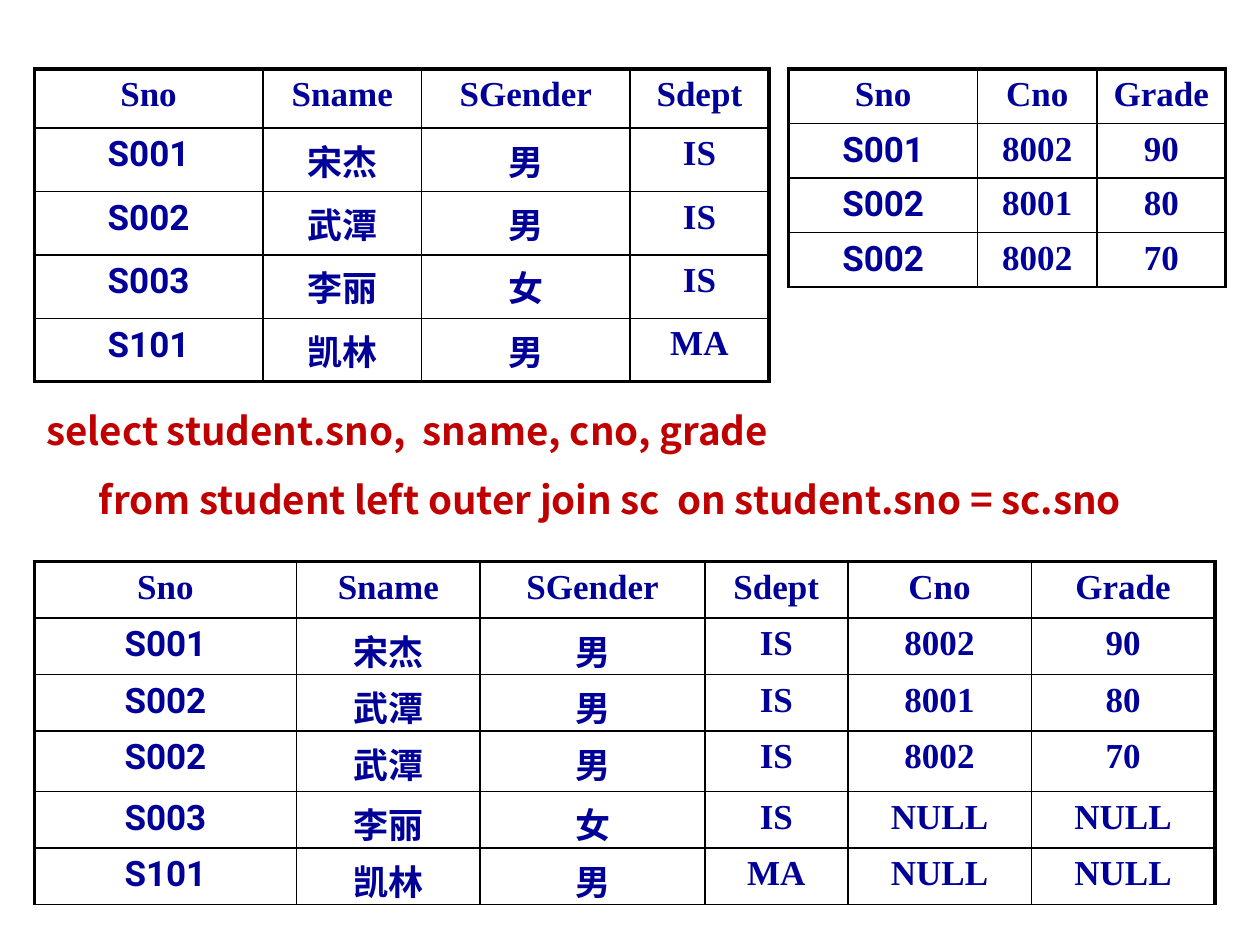
from lxml import etree
from pptx import Presentation
from pptx import util as u
from pptx.dml.color import RGBColor
from pptx.enum import text
from pptx.oxml.ns import qn

COLORS = {"ink": "000099", "query": "C00000", "border": "000000", "paper": "FFFFFF"}
LATIN, ID_FONT, CJK = "Times New Roman", "Roboto", "Noto Sans CJK SC"
THIN, THICK = 1, 2.25


class SlideBuilder:
    """Holds the text style and the current slide."""

    def __init__(self, s):
        self.s = s

    def add_run(self, p, content, size, font, color):
        r = p.add_run()
        r.text = content
        r.font.size = u.Pt(size)
        r.font.bold = True
        r.font.name = font
        r.font.color.rgb = RGBColor.from_string(COLORS[color])
        ea = etree.SubElement(r.font._element, qn("a:ea"))
        ea.set("typeface", CJK)

    def border(self, cell, **widths):
        tc_pr = cell._tc.get_or_add_tcPr()
        for side, width in widths.items():
            ln = etree.SubElement(tc_pr, qn(f"a:ln{side}"), w=str(u.Pt(width)))
            fill = etree.SubElement(ln, qn("a:solidFill"))
            etree.SubElement(fill, qn("a:srgbClr"), val=COLORS["border"])

    def table(self, left, top, cols, heights, rows, thick_bottom=False):
        last_row, last_col = len(rows) - 1, len(cols) - 1
        frame = self.s.shapes.add_table(
            len(rows), len(cols), u.Cm(left), u.Cm(top),
            u.Cm(sum(cols)), u.Cm(sum(heights)))
        tbl = frame.table
        tbl.first_row = tbl.horz_banding = False
        for col, width in zip(tbl.columns, cols):
            col.width = u.Cm(width)
        for row, height in zip(tbl.rows, heights):
            row.height = u.Cm(height)
        for i, values in enumerate(rows):
            for j, value in enumerate(values):
                cell = tbl.cell(i, j)
                # Heavy outer frame, thin inner lines
                self.border(
                    cell,
                    L=THICK if j == 0 else THIN,
                    R=THICK if j == last_col else THIN,
                    T=THICK if i == 0 else THIN,
                    B=THICK if thick_bottom and i == last_row else THIN)
                cell.fill.solid()
                cell.fill.fore_color.rgb = RGBColor.from_string(COLORS["paper"])
                p = cell.text_frame.paragraphs[0]
                p.alignment = text.PP_ALIGN.CENTER
                font = ID_FONT if i and j == 0 else LATIN
                self.add_run(p, value, 20, font, "ink")

    def query(self, left, top, width, height, lines):
        sp = self.s.shapes.add_textbox(u.Cm(left), u.Cm(top), u.Cm(width), u.Cm(height))
        tf = sp.text_frame
        tf.word_wrap = True
        tf.auto_size = text.MSO_AUTO_SIZE.SHAPE_TO_FIT_TEXT
        for i, line in enumerate(lines):
            p = tf.add_paragraph() if i else tf.paragraphs[0]
            p.line_spacing = 1.5
            self.add_run(p, line, 22, CJK, "query")


def main():
    prs = Presentation()
    prs.slide_width, prs.slide_height = u.Cm(25.4), u.Cm(19.05)
    builder = SlideBuilder(prs.slides.add_slide(prs.slide_layouts[6]))

    student_head = ["Sno", "Sname", "SGender", "Sdept"]
    students = [
        ["S001", "宋杰", "男", "IS"],
        ["S002", "武潭", "男", "IS"],
        ["S003", "李丽", "女", "IS"],
        ["S101", "凯林", "男", "MA"],
    ]
    course_head = ["Sno", "Cno", "Grade"]
    courses = [["S001", "8002", "90"], ["S002", "8001", "80"], ["S002", "8002", "70"]]

    # Left outer join of the two tables
    joined = []
    for student in students:
        matches = [c[1:] for c in courses if c[0] == student[0]]
        joined += [student + m for m in matches or [["NULL", "NULL"]]]

    # Source tables
    builder.table(0.69, 1.39, [4.61, 3.2, 4.2, 2.8], [1.19, 1.19, 1.22, 1.14, 1.14],
                  [student_head] + students, thick_bottom=True)
    builder.table(15.9, 1.39, [3.81, 2.4, 2.6], [1.1] * 4, [course_head] + courses)

    # Join query
    builder.query(0.69, 7.62, 24.4, 3.07, [
        "select student.sno,  sname, cno, grade",
        "      from student left outer join sc  on student.sno = sc.sno",
    ])

    # Join result
    builder.table(0.69, 11.32, [5.29, 3.7, 4.53, 2.88, 3.7, 3.7],
                  [1.14, 1.14, 1.14, 1.22, 1.14, 1.14],
                  [student_head + course_head[1:]] + joined)

    prs.save("out.pptx")


if __name__ == "__main__":
    main()
